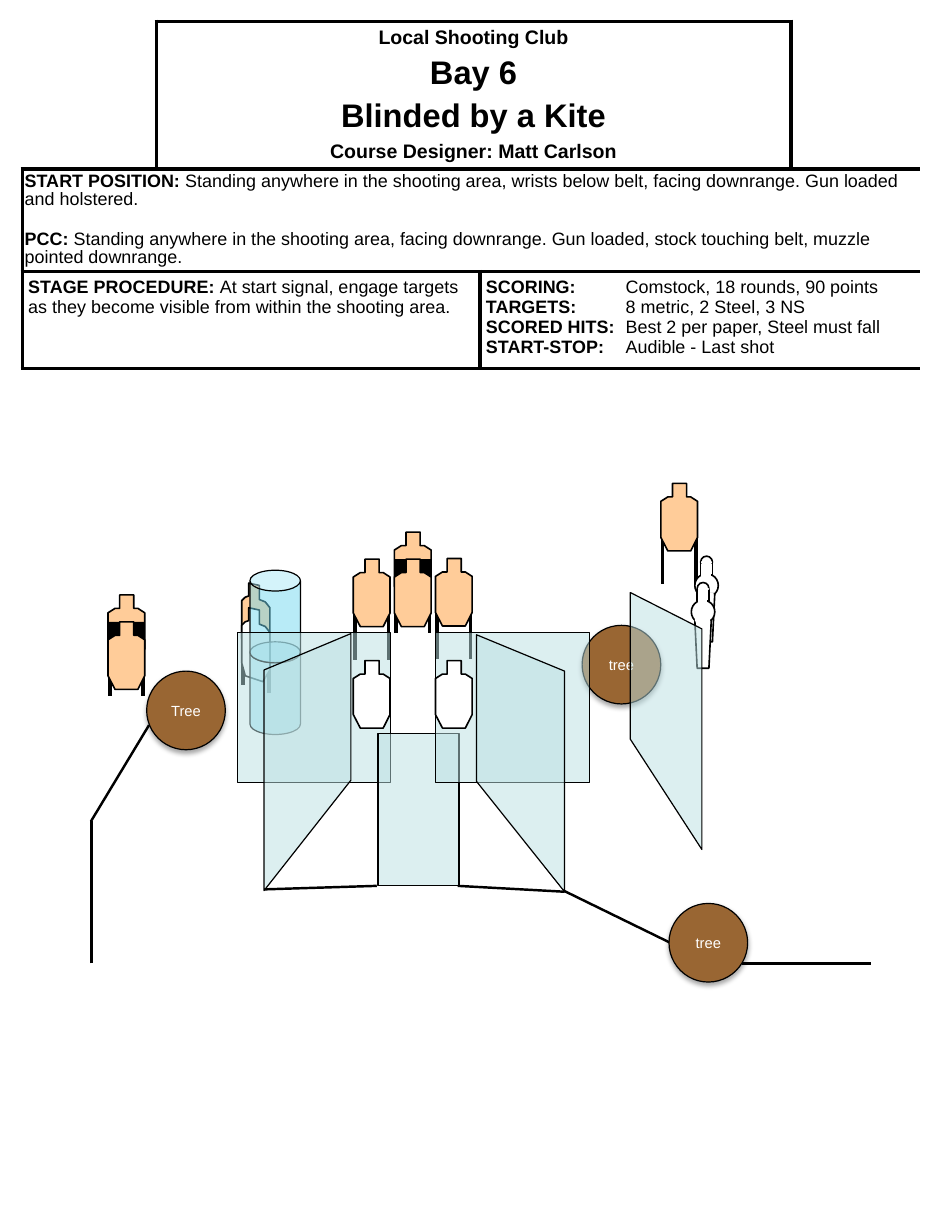
from lxml import etree
from pptx import Presentation
from pptx.dml.color import RGBColor
from pptx.enum.shapes import MSO_CONNECTOR, MSO_SHAPE
from pptx.enum.text import MSO_ANCHOR, PP_ALIGN
from pptx.oxml import parse_xml
from pptx.oxml.ns import nsdecls, qn
from pptx.util import Inches, Pt

STRAIGHT = MSO_CONNECTOR.STRAIGHT
OVAL, RECTANGLE, CAN = MSO_SHAPE.OVAL, MSO_SHAPE.RECTANGLE, MSO_SHAPE.CAN
CENTER, MIDDLE = PP_ALIGN.CENTER, MSO_ANCHOR.MIDDLE
BLACK = RGBColor(0x00, 0x00, 0x00)
WHITE = RGBColor(0xFF, 0xFF, 0xFF)
TAN = RGBColor(0xFF, 0xCC, 0x99)
BROWN = RGBColor(0x99, 0x66, 0x33)
GLASS = RGBColor(0xBB, 0xE0, 0xE3)
BARREL = RGBColor(0x73, 0xD9, 0xF1)
FONT = "Arial"
COLUMNS, ROWS = 80, 105

TARGET = [(1, 0), (2.2, 0), (2.2, 1.15), (2.55, 1.15), (3.13, 1.53), (3.13, 4.6),
          (2.55, 5.75), (0.6, 5.75), (0, 4.6), (0, 1.53), (0.6, 1.15), (1, 1.15)]
TURNED_TARGET = [(1.5, 0.2), (0.6, 0), (0.6, 1.1), (0.3, 1.2), (0, 1.5), (0, 4.7),
                 (0.3, 5.8), (1.8, 6.3), (2.4, 5.3), (2.4, 2.1), (2, 1.6), (1.5, 1.4)]
COVER = [(0, 2.3), (3.15, 2.3), (3.15, 4.7), (2.5, 5.75), (0.6, 5.75), (0, 4.8)]
POPPER_STEM = [(0.3, 3.2), (1.7, 3.2), (1.5, 7.3), (0.5, 7.3)]
POPPER_PARTS = [(RECTANGLE, (0.5, 0.6, 1, 1), BLACK), (RECTANGLE, (0.3, 3.1, 1.3, 0.2), None),
                (RECTANGLE, (0.6, 1.5, 0.7, 0.2), WHITE), (RECTANGLE, (0.6, 0.5, 0.8, 0.1), WHITE)]
SHADOW = (f'<a:effectLst {nsdecls("a")}><a:outerShdw blurRad="39370" dist="22860" dir="5400000" '
          'rotWithShape="0"><a:srgbClr val="000000"><a:alpha val="35000"/></a:srgbClr>'
          '</a:outerShdw></a:effectLst>')

TITLE = [("Local Shooting Club", 12), ("Bay 6", 20), ("Blinded by a Kite", 20),
         ("Course Designer: Matt Carlson", 12)]
START = [("START POSITION:", " Standing anywhere in the shooting area, wrists below belt, "
          "facing downrange. Gun loaded and holstered."),
         ("PCC: ", "Standing anywhere in the shooting area, facing downrange. Gun loaded, "
          "stock touching belt, muzzle pointed downrange.")]
PROCEDURE = [("STAGE PROCEDURE: ", "At start signal, engage targets as they become visible "
              "from within the shooting area.")]
SCORING = [("SCORING:", "\tComstock, 18 rounds, 90 points"),
           ("TARGETS:", "\t8 metric, 2 Steel, 3 NS"),
           ("SCORED HITS:", "\tBest 2 per paper, Steel must fall"),
           ("START-STOP:", "\tAudible - Last shot")]


class Stage:
    """Draws the parts of a shooting stage on a slide grid of 80 columns by 105 rows."""

    def __init__(self, presentation):
        self.slide = presentation.slides.add_slide(presentation.slide_layouts[6])
        self.shapes = self.slide.shapes
        self.column = presentation.slide_width / COLUMNS
        self.row = presentation.slide_height / ROWS

    def place(self, *lengths):
        units = (self.column, self.row) * 2
        return [round(length * unit) for length, unit in zip(lengths, units)]

    def paint(self, shape, fill, line=BLACK, width=1.0, opacity=None):
        shape.shadow.inherit = False
        shape.fill.solid()
        shape.fill.fore_color.rgb = fill
        if opacity:
            color = shape.element.spPr.find(f'{qn("a:solidFill")}/{qn("a:srgbClr")}')
            etree.SubElement(color, qn("a:alpha")).set("val", str(opacity * 1000))
        if line is None:
            shape.line.fill.background()
        else:
            shape.line.color.rgb = line
            shape.line.width = Pt(width)
        return shape

    def preset(self, kind, box, fill, **style):
        return self.paint(self.shapes.add_shape(kind, *self.place(*box)), fill, **style)

    def outline(self, points, fill, x=0, y=0, **style):
        corners = [self.place(x + across, y + down) for across, down in points]
        builder = self.shapes.build_freeform(*corners[0])
        builder.add_line_segments(corners[1:], close=True)
        return self.paint(builder.convert_to_shape(), fill, **style)

    def line(self, x1, y1, x2, y2, width=1.5):
        connector = self.shapes.add_connector(STRAIGHT, *self.place(x1, y1, x2, y2))
        connector.line.color.rgb = BLACK
        connector.line.width = Pt(width)
        etree.SubElement(connector.element.spPr, qn("a:effectLst"))

    def legs(self, x, y):
        for offset in (0.15, 3):
            self.line(x + offset, y + 4.25, x + offset, y + 8.6, 2.25)

    def target(self, x, y, covered=False):
        self.legs(x, y)
        self.outline(TARGET, TAN, x, y)
        if covered:
            self.outline(COVER, BLACK, x, y, line=None)
            self.outline(TARGET, TAN, x, y + 2.3)

    def turned_target(self, x, y):
        self.line(x + 2.3, y + 5.1, x + 2.3, y + 9.4, 2.25)
        self.line(x + 0.1, y + 4.4, x + 0.1, y + 8.7, 2.25)
        self.outline(TURNED_TARGET, TAN, x, y)
        self.outline(TURNED_TARGET, WHITE, x, y + 2.1)

    def popper(self, x, y):
        self.preset(OVAL, (x + 0.5, y, 1, 1), WHITE)
        self.preset(OVAL, (x, y + 1.5, 2, 2), WHITE)
        self.outline(POPPER_STEM, WHITE, x, y)
        for kind, (left, top, width, height), line in POPPER_PARTS:
            self.preset(kind, (x + left, y + top, width, height), WHITE, line=line)

    def barrel(self, x, y):
        can = self.preset(CAN, (x, y, 4.3, 7.9), BARREL, width=0.75, opacity=50)
        can.adjustments[0] = 0.413

    def tree(self, x, y, name):
        shape = self.preset(OVAL, (x, y, 6.7, 6.7), BROWN, width=0.75)
        properties = shape.element.spPr
        properties.replace(properties.find(qn("a:effectLst")), parse_xml(SHADOW))
        frame = shape.text_frame
        frame.vertical_anchor = MIDDLE
        frame.margin_left = frame.margin_right = 0
        paragraph = frame.paragraphs[0]
        paragraph.text = name
        paragraph.alignment = CENTER
        self.font(paragraph, 9, WHITE)

    def font(self, paragraph, size, color=BLACK, bold=None):
        font = paragraph.font
        font.name, font.size, font.bold = FONT, Pt(size), bold
        font.color.rgb = color

    def paragraphs(self, cell, count):
        frame = cell.text_frame
        return [frame.paragraphs[0]] + [frame.add_paragraph() for _ in range(count - 1)]

    def labelled(self, cell, entries, gap=0, spacing=None, tab=None):
        for index, (paragraph, entry) in enumerate(zip(self.paragraphs(cell, len(entries)), entries)):
            for text, bold in zip(entry, (True, False)):
                run = paragraph.add_run()
                run.text, run.font.bold = text, bold
            if spacing:
                paragraph.line_spacing = spacing
            if index and gap:
                paragraph.space_before = Pt(gap)
            if tab:
                stops = etree.SubElement(paragraph._p.get_or_add_pPr(), qn("a:tabLst"))
                etree.SubElement(stops, qn("a:tab"), pos=str(Inches(tab)), algn="l")
            self.font(paragraph, 11)

    def borders(self, cell, sides):
        properties = cell._tc.get_or_add_tcPr()
        for index, (side, shown) in enumerate(sides.items()):
            fill = '<a:solidFill><a:srgbClr val="000000"/></a:solidFill>' if shown else "<a:noFill/>"
            properties.insert(index, parse_xml(
                f'<a:ln{side} {nsdecls("a")} w="{Pt(2.25)}">{fill}</a:ln{side}>'))

    def briefing(self, box, widths, heights):
        table = self.shapes.add_table(len(heights), len(widths), *self.place(*box)).table
        table.first_row = table.horz_banding = False
        for column, width in zip(table.columns, widths):
            column.width = round(width * self.column)
        for row, height in zip(table.rows, heights):
            row.height = round(height * self.row)
        edges = [(1, 3), (0, 4), (0, 2, 4)]
        for row, walls in enumerate(edges):
            for column in range(len(widths)):
                cell = table.cell(row, column)
                cell.fill.solid()
                cell.fill.fore_color.rgb = WHITE
                cell.margin_left = cell.margin_right = Inches(0.02 if row == 1 else 0.05)
                cell.margin_top = cell.margin_bottom = Inches(0.05 if row == 2 else 0.04)
                self.borders(cell, {"L": column in walls, "R": column + 1 in walls,
                                    "T": row > 0 or column in (1, 2), "B": True})
        for row, first, last in ((0, 1, 2), (1, 0, 3), (2, 0, 1), (2, 2, 3)):
            table.cell(row, first).merge(table.cell(row, last))
        title = table.cell(0, 1)
        title.vertical_anchor = MIDDLE
        for index, (paragraph, (text, size)) in enumerate(zip(self.paragraphs(title, len(TITLE)), TITLE)):
            paragraph.text = text
            paragraph.alignment = CENTER
            if index:
                paragraph.space_before = Pt(4)
            self.font(paragraph, size, bold=True)
        self.labelled(table.cell(1, 0), START, gap=13, spacing=0.9)
        self.labelled(table.cell(2, 0), PROCEDURE)
        self.labelled(table.cell(2, 2), SCORING, tab=1.19)


def main():
    presentation = Presentation()
    presentation.slide_width, presentation.slide_height = Inches(8), Inches(10.5)
    stage = Stage(presentation)
    glass = {"fill": GLASS, "width": 0.75, "opacity": 50}

    stage.briefing((1.9, 1.8, 76.5, 29.6), (11.4, 27.6, 26.5, 11), (12.6, 8.7, 8.3))
    stage.turned_target(20.6, 49.7)
    for y in (54.7, 48.6):
        stage.barrel(21.3, y)
    stage.target(56.3, 41.2)
    stage.target(30.1, 47.65)
    for x, y, name in ((12.5, 57.2, "Tree"), (49.6, 53.3, "tree"), (57, 77, "tree")):
        stage.tree(x, y, name)
    for ends in ((7.75, 70, 12.7, 61.8), (7.8, 82.1, 7.8, 70), (22.5, 75.8, 32.1, 75.5),
                 (39, 75.5, 48.1, 76), (57, 80.3, 48, 75.9), (63.2, 82.1, 74.2, 82.1)):
        stage.line(*ends)
    stage.preset(RECTANGLE, (20.2, 53.9, 13.1, 12.8), **glass)
    stage.target(37.1, 47.6)
    stage.popper(59.2, 47.4)
    stage.popper(58.9, 49.65)
    stage.preset(RECTANGLE, (32.2, 62.5, 6.9, 13), **glass)
    stage.preset(RECTANGLE, (37.1, 53.9, 13.1, 12.8), **glass)
    for x in (30.1, 37.1):
        stage.outline(TARGET, WHITE, x, 56.3)
    for near, far, top in ((40.6, 48.1, 54.1), (29.9, 22.5, 54), (53.7, 59.8, 50.5)):
        stage.outline([(near, top + 12.5), (far, top + 21.9), (far, top + 3.1), (near, top)], **glass)
    stage.target(33.6, 45.35, covered=True)
    stage.target(9.2, 50.7, covered=True)
    presentation.save("out.pptx")


if __name__ == "__main__":
    main()
